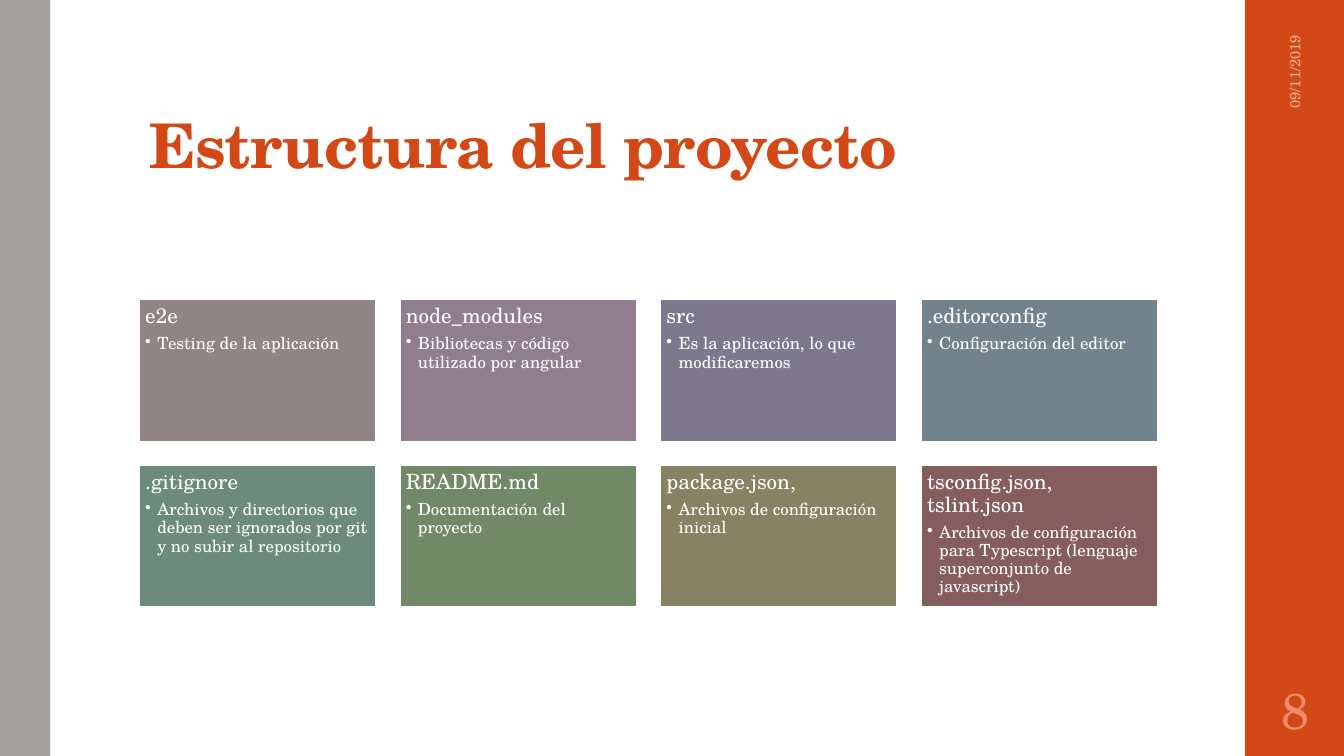
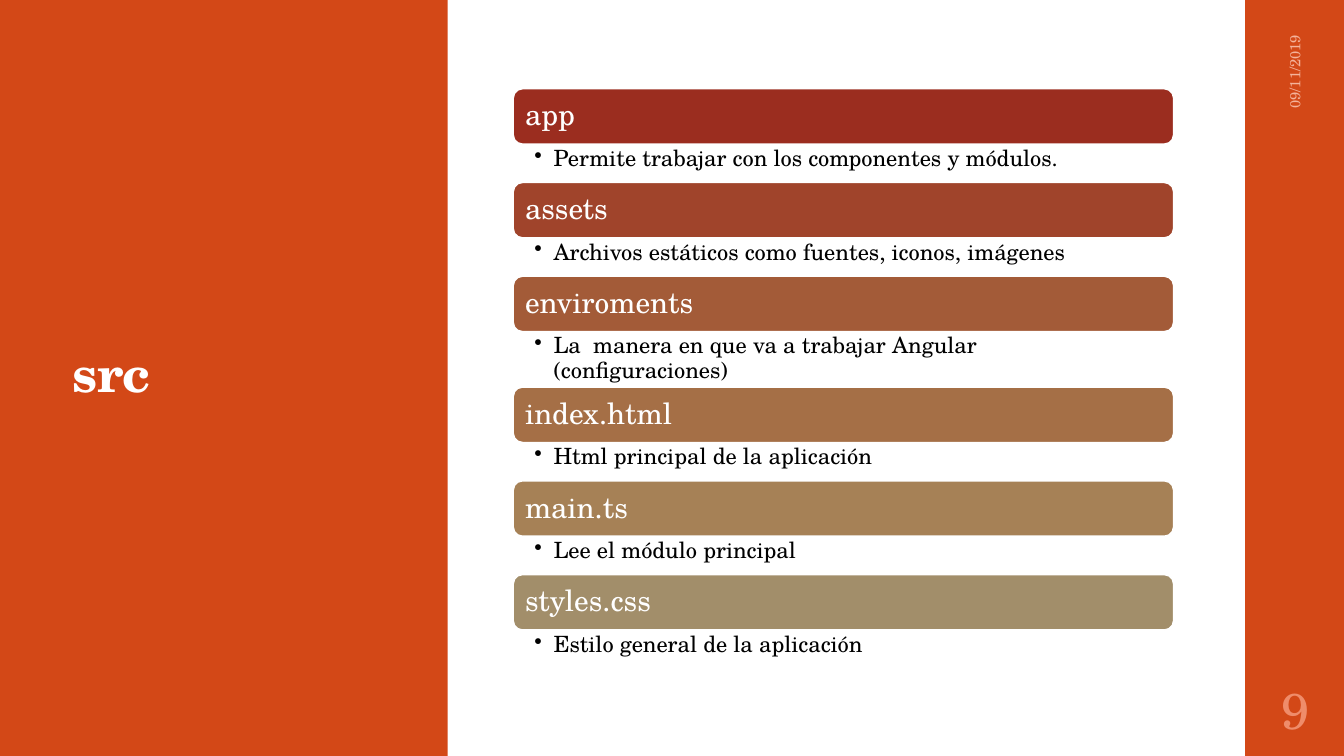
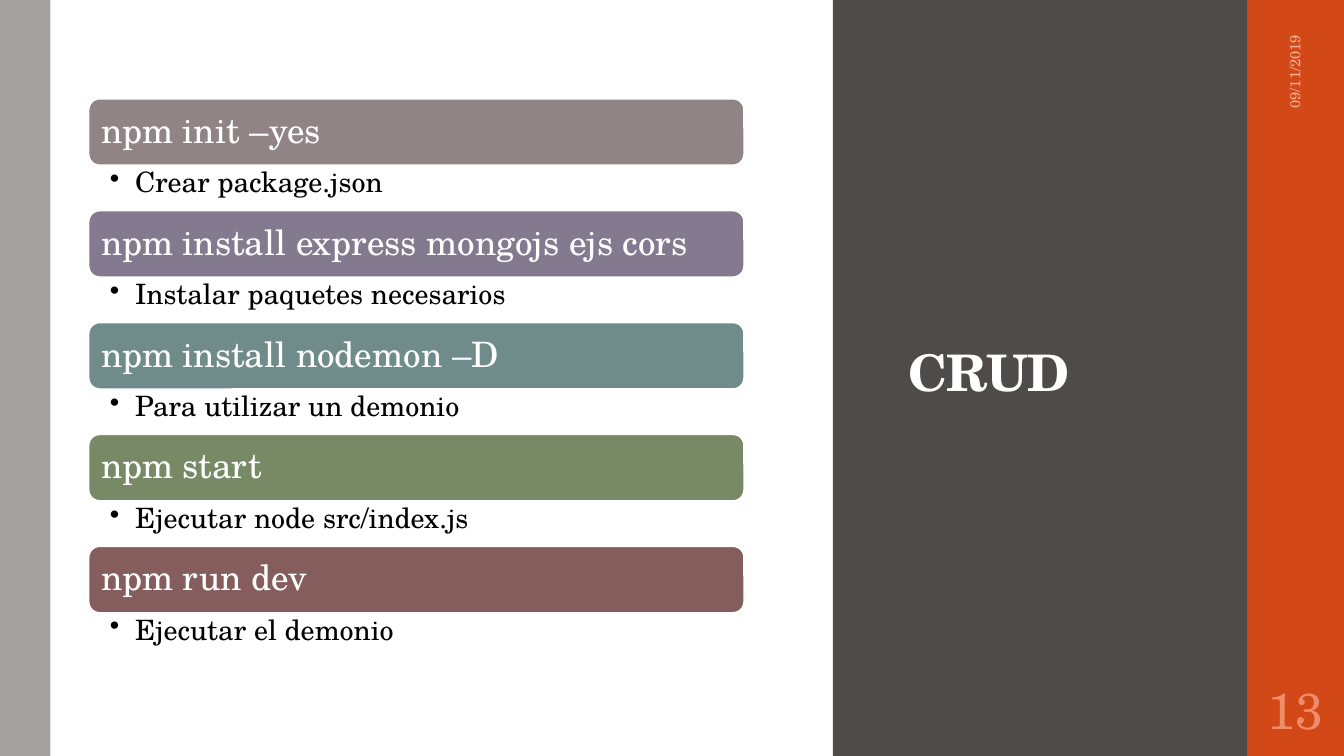
from dataclasses import dataclass
from typing import Any

from lxml import etree
from pptx import Presentation
from pptx import util as u
from pptx.dml.color import RGBColor
from pptx.enum import shapes, text
from pptx.oxml import ns

FONT = "TeX Gyre Schola"
DATE = "09/11/2019"
WHITE = RGBColor(0xFF, 0xFF, 0xFF)
BLACK = RGBColor(0x00, 0x00, 0x00)
ORANGE = RGBColor(0xD3, 0x48, 0x17)
GRAY = RGBColor(0xA6, 0xA1, 0xA1)
DARK = RGBColor(0x4F, 0x4B, 0x4B)
DATE_COLOR = RGBColor(0xF4, 0xB3, 0x9B)
NUMBER_COLOR = RGBColor(0xEF, 0x8C, 0x6A)
TAUPE = RGBColor(0x91, 0x84, 0x85)
MAROON = RGBColor(0x85, 0x5D, 0x5D)

SLIDE_WIDTH, SLIDE_HEIGHT = 13.33, 7.5
RECTANGLE = shapes.MSO_SHAPE.RECTANGLE
ROUNDED = shapes.MSO_SHAPE.ROUNDED_RECTANGLE
TOP, MIDDLE, BOTTOM = (text.MSO_ANCHOR.TOP, text.MSO_ANCHOR.MIDDLE,
                       text.MSO_ANCHOR.BOTTOM)
LEFT, CENTER, RIGHT = text.PP_ALIGN.LEFT, text.PP_ALIGN.CENTER, text.PP_ALIGN.RIGHT


@dataclass(frozen=True)
class Box:
    left: float
    top: float
    width: float
    height: float

    def lengths(self) -> list[u.Length]:
        return [u.Inches(v) for v in (self.left, self.top, self.width, self.height)]


@dataclass(frozen=True)
class Item:
    heading: str
    detail: str
    color: RGBColor
    detail_height: float = 0.0


@dataclass(frozen=True)
class StackStyle:
    """Measures of a column of heading bars with a detail under each."""
    left: float
    top: float
    width: float
    bar_height: float
    bar_margin: float
    right_margin: float
    heading_size: float
    detail_size: float
    hanging: float


@dataclass(frozen=True)
class Page:
    title: str
    number: int
    title_box: Box
    title_size: float = 36
    title_color: RGBColor = WHITE
    title_anchor: Any = MIDDLE
    panel: Box | None = None
    panel_color: RGBColor = ORANGE


CARD_ORIGIN = (1.38, 2.97)
CARD_SIZE = (2.35, 1.41)
CARD_GAP = CARD_SIZE[0] / 10
CARD_COLUMNS = 4

CARDS = [
    Item("e2e", "Testing de la aplicación", TAUPE),
    Item("node_modules", "Bibliotecas y código utilizado por angular",
         RGBColor(0x90, 0x7E, 0x8E)),
    Item("src", "Es la aplicación, lo que modificaremos", RGBColor(0x7D, 0x78, 0x8E)),
    Item(".editorconfig", "Configuración del editor", RGBColor(0x72, 0x83, 0x8D)),
    Item(".gitignore", "Archivos y directorios que deben ser ignorados por git "
         "y no subir al repositorio", RGBColor(0x6C, 0x8B, 0x7D)),
    Item("README.md", "Documentación del proyecto", RGBColor(0x72, 0x89, 0x67)),
    Item("package.json,", "Archivos de configuración inicial",
         RGBColor(0x87, 0x82, 0x62)),
    Item("tsconfig.json, tslint.json", "Archivos de configuración para Typescript "
         "(lenguaje superconjunto de javascript)", MAROON),
]

SRC_STYLE = StackStyle(5.09, 0.88, 6.55, 0.55, 0.09, 0.16, 21, 16, 0.19)
SRC_ITEMS = [
    Item("app", "Permite trabajar con los componentes y módulos.",
         RGBColor(0x9B, 0x2D, 0x1F), 0.38),
    Item("assets", "Archivos estáticos como fuentes, iconos, imágenes",
         RGBColor(0xA0, 0x44, 0x2B), 0.38),
    Item("enviroments", "La  manera en que va a trabajar Angular (configuraciones)",
         RGBColor(0xA3, 0x5B, 0x38), 0.55),
    Item("index.html", "Html principal de la aplicación",
         RGBColor(0xA5, 0x6F, 0x46), 0.38),
    Item("main.ts", "Lee el módulo principal", RGBColor(0xA6, 0x81, 0x56), 0.38),
    Item("styles.css", "Estilo general de la aplicación",
         RGBColor(0xA2, 0x8E, 0x6A), 0.38),
]

CRUD_STYLE = StackStyle(0.88, 0.98, 6.5, 0.66, 0.1, 0.19, 25, 20, 0.25)
CRUD_ITEMS = [
    Item("npm init –yes", "Crear package.json", TAUPE, 0.45),
    Item("npm install express mongojs ejs cors", "Instalar paquetes necesarios",
         RGBColor(0x83, 0x7A, 0x8F), 0.45),
    Item("npm install nodemon –D", "Para utilizar un demonio",
         RGBColor(0x6F, 0x8C, 0x8B), 0.45),
    Item("npm start", "Ejecutar node src/index.js", RGBColor(0x78, 0x89, 0x66), 0.45),
    Item("npm run dev", "Ejecutar el demonio", MAROON, 0.45),
]


def apply(target: Any, values: dict[str, Any]) -> None:
    for name, value in values.items():
        setattr(target, name, value)


def set_frame(frame: Any, margins: tuple[float, ...], anchor: Any) -> None:
    left, top, right, bottom = (u.Inches(margin) for margin in margins)
    apply(frame, {"word_wrap": True, "auto_size": text.MSO_AUTO_SIZE.NONE,
                  "vertical_anchor": anchor, "margin_left": left, "margin_top": top,
                  "margin_right": right, "margin_bottom": bottom})


def write(paragraph: Any, words: str, size: float, color: RGBColor,
          align: Any = LEFT, bold: bool = False, after: float = 0) -> None:
    apply(paragraph, {"alignment": align, "line_spacing": 0.9,
                      "space_before": u.Pt(0), "space_after": u.Pt(after)})
    run = paragraph.add_run()
    run.text = words
    apply(run.font, {"name": FONT, "size": u.Pt(size), "bold": bold})
    run.font.color.rgb = color


def add_bullet(paragraph: Any, hanging: float) -> None:
    properties = paragraph._p.get_or_add_pPr()
    properties.set("marL", str(u.Inches(hanging)))
    properties.set("indent", str(-u.Inches(hanging)))
    etree.SubElement(properties, ns.qn("a:buChar")).set("char", "•")


def add_block(slide: Any, box: Box, color: RGBColor, kind: Any = RECTANGLE,
              outline: float = 0) -> Any:
    shape = slide.shapes.add_shape(kind, *box.lengths())
    shape.shadow.inherit = False
    shape.fill.solid()
    shape.fill.fore_color.rgb = color
    if outline:
        shape.line.color.rgb = WHITE
        shape.line.width = u.Pt(outline)
    else:
        shape.line.fill.background()
    return shape


def add_text(slide: Any, box: Box, margins: tuple[float, ...], anchor: Any) -> Any:
    shape = slide.shapes.add_textbox(*box.lengths())
    set_frame(shape.text_frame, margins, anchor)
    return shape


def add_page(presentation: Any, page: Page) -> Any:
    """Add a slide with its bands, title, date and number."""
    slide = presentation.slides.add_slide(presentation.slide_layouts[5])

    # Side bands and panel
    add_block(slide, Box(12.35, 0, 1, SLIDE_HEIGHT), ORANGE)
    add_block(slide, Box(0, 0, 0.5, SLIDE_HEIGHT), GRAY)
    if page.panel:
        add_block(slide, page.panel, page.panel_color)

    # Title, raised above the panel
    title = slide.shapes.title
    title.element.getparent().append(title.element)
    apply(title, dict(zip(("left", "top", "width", "height"),
                          page.title_box.lengths())))
    set_frame(title.text_frame, (0.1, 0.03, 0.1, 0.05), page.title_anchor)
    paragraph = title.text_frame.paragraphs[0]
    write(paragraph, page.title, page.title_size, page.title_color, bold=True)
    paragraph.runs[0].font._element.set("spc", "-50")

    # Date and slide number
    date = add_text(slide, Box(11.81, 1.09, 2.08, 0.4), (0.1, 0.05, 0.1, 0.05), MIDDLE)
    date.rotation = 270
    write(date.text_frame.paragraphs[0], DATE, 10.5, DATE_COLOR, RIGHT)
    number = add_text(slide, Box(12.35, 6.75, 1, 0.65), (0.05,) * 4, MIDDLE)
    write(number.text_frame.paragraphs[0], str(page.number), 36, NUMBER_COLOR, CENTER)
    return slide


def add_cards(slide: Any, items: list[Item]) -> None:
    width, height = CARD_SIZE
    for index, item in enumerate(items):
        row, column = divmod(index, CARD_COLUMNS)
        box = Box(CARD_ORIGIN[0] + column * (width + CARD_GAP),
                  CARD_ORIGIN[1] + row * (height + CARD_GAP), width, height)
        frame = add_block(slide, box, item.color, outline=1.35).text_frame
        set_frame(frame, (0.06,) * 4, TOP)
        write(frame.paragraphs[0], item.heading, 15, WHITE, after=5.25)
        detail = frame.add_paragraph()
        write(detail, item.detail, 12, WHITE)
        add_bullet(detail, 0.12)


def add_stack(slide: Any, items: list[Item], style: StackStyle) -> None:
    top = style.top
    for item in items:
        bar = add_block(slide, Box(style.left, top, style.width, style.bar_height),
                        item.color, ROUNDED, outline=1.1)
        set_frame(bar.text_frame, (style.bar_margin,) * 4, MIDDLE)
        write(bar.text_frame.paragraphs[0], item.heading, style.heading_size, WHITE)
        top += style.bar_height

        detail = add_text(slide, Box(style.left, top, style.width, item.detail_height),
                          (0.21, 0.03, style.right_margin, 0.03), TOP)
        paragraph = detail.text_frame.paragraphs[0]
        write(paragraph, item.detail, style.detail_size, BLACK)
        add_bullet(paragraph, style.hanging)
        top += item.detail_height


def main() -> None:
    presentation = Presentation()
    apply(presentation, {"slide_width": u.Inches(SLIDE_WIDTH),
                         "slide_height": u.Inches(SLIDE_HEIGHT)})

    # Project structure
    slide = add_page(presentation, Page(
        "Estructura del proyecto", 8, Box(1.38, 0.32, 10.6, 1.53),
        title_size=44, title_color=ORANGE, title_anchor=BOTTOM))
    add_cards(slide, CARDS)

    # Source folder
    slide = add_page(presentation, Page(
        "src", 9, Box(0.62, 0.91, 2.97, 5.67), panel=Box(0, 0, 4.44, SLIDE_HEIGHT)))
    add_stack(slide, SRC_ITEMS, SRC_STYLE)

    # CRUD commands
    slide = add_page(presentation, Page(
        "CRUD", 13, Box(8.91, 0.88, 3.09, 5.7),
        panel=Box(8.26, 0, 4.11, SLIDE_HEIGHT), panel_color=DARK))
    add_stack(slide, CRUD_ITEMS, CRUD_STYLE)

    presentation.save("out.pptx")


if __name__ == "__main__":
    main()
